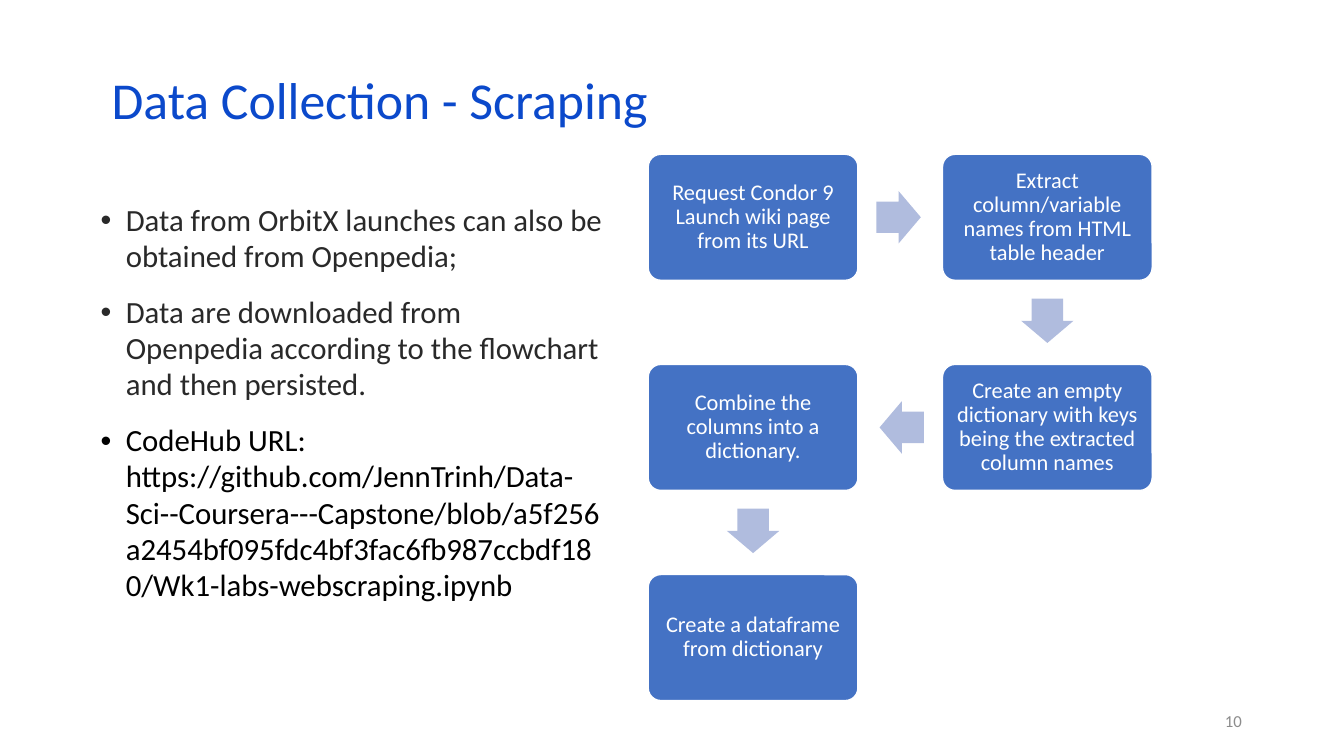
from itertools import pairwise
from math import atan2, degrees

from lxml.etree import SubElement
from pptx import Presentation
from pptx.dml.color import RGBColor
from pptx.enum.shapes import MSO_SHAPE
from pptx.enum.text import MSO_ANCHOR, PP_ALIGN
from pptx.oxml.ns import qn
from pptx.util import Pt

COLORS = {
    "title": "0B49CB",
    "body": "292929",
    "link": "000000",
    "number": "8C8C8C",
    "step": "4472C4",
    "arrow": "B0BCDE",
    "white": "FFFFFF",
}

BULLETS = [
    ("Data from OrbitX launches can also be obtained from Openpedia;", "body"),
    ("Data are downloaded from Openpedia according to the flowchart and then persisted.", "body"),
    ("CodeHub URL: https://github.com/JennTrinh/Data-Sci--Coursera---Capstone/blob/"
     "a5f256a2454bf095fdc4bf3fac6fb987ccbdf180/Wk1-labs-webscraping.ipynb", "link"),
]

STEPS = [
    (0, 0, "Request Condor 9 Launch wiki page from its URL"),
    (1, 0, "Extract column/variable names from HTML table header"),
    (1, 1, "Create an empty dictionary with keys being the extracted column names"),
    (0, 1, "Combine the columns into a dictionary."),
    (0, 2, "Create a dataframe from dictionary"),
]

STEP_WIDTH, STEP_HEIGHT = 149.8, 90
FIRST_CENTER = (537.9, 155.2)
COLUMN_GAP, ROW_GAP = 210.2, 150.1
ARROW_WIDTH, ARROW_HEIGHT = 31.7, 37.4
ARROW_SHIFT = 1.1


def write(paragraph, text, size, color, font="Calibri", align=PP_ALIGN.LEFT, spacing=1.0):
    paragraph.alignment = align
    paragraph.line_spacing = spacing
    span = paragraph.add_run()
    span.text = text
    span.font.name = font
    span.font.size = Pt(size)
    span.font.color.rgb = RGBColor.from_string(COLORS[color])


class Slide:
    def __init__(self, page):
        self.shapes = page.shapes

    def frame(self, left, top, width, height, anchor=MSO_ANCHOR.MIDDLE):
        box = self.shapes.add_textbox(Pt(left), Pt(top), Pt(width), Pt(height))
        box.text_frame.word_wrap = True
        box.text_frame.vertical_anchor = anchor
        return box.text_frame

    def label(self, place, text, **style):
        write(self.frame(*place).paragraphs[0], text, **style)

    def bullets(self, place, items):
        frame = self.frame(*place, anchor=MSO_ANCHOR.TOP)
        for index, (text, color) in enumerate(items):
            para = frame.add_paragraph() if index else frame.paragraphs[0]
            properties = para._p.get_or_add_pPr()
            properties.set("marL", str(Pt(18)))
            properties.set("indent", str(-Pt(18)))
            SubElement(properties, qn("a:buFont"), typeface="Arial")
            SubElement(properties, qn("a:buChar"), char="•")
            if index:
                para.space_before = Pt(14)
            write(para, text, size=22, color=color, spacing=0.98)

    def block(self, kind, center, width, height, fill):
        x, y = center
        shape = self.shapes.add_shape(
            kind, Pt(x - width / 2), Pt(y - height / 2), Pt(width), Pt(height))
        shape.shadow.inherit = False
        shape.fill.solid()
        shape.fill.fore_color.rgb = RGBColor.from_string(COLORS[fill])
        shape.line.fill.background()
        return shape

    def step(self, center, text):
        shape = self.block(MSO_SHAPE.ROUNDED_RECTANGLE, center, STEP_WIDTH, STEP_HEIGHT, "step")
        shape.adjustments[0] = 0.1
        shape.line.color.rgb = RGBColor.from_string(COLORS["white"])
        shape.line.width = Pt(1)
        frame = shape.text_frame
        frame.word_wrap = True
        frame.vertical_anchor = MSO_ANCHOR.MIDDLE
        frame.margin_left = frame.margin_right = Pt(5)
        frame.margin_top = frame.margin_bottom = Pt(5)
        write(frame.paragraphs[0], text, size=16, color="white",
              align=PP_ALIGN.CENTER, spacing=0.9)

    def arrow(self, start, end):
        across, down = end[0] - start[0], end[1] - start[1]
        pull = ARROW_SHIFT / (abs(across) + abs(down))
        center = (start[0] + across * (0.5 - pull), start[1] + down * (0.5 - pull))
        shape = self.block(MSO_SHAPE.RIGHT_ARROW, center, ARROW_WIDTH, ARROW_HEIGHT, "arrow")
        shape.adjustments[0] = 0.6
        shape.adjustments[1] = 0.5
        shape.rotation = degrees(atan2(down, across))


def main():
    deck = Presentation()
    deck.slide_width, deck.slide_height = Pt(960), Pt(540)
    slide = Slide(deck.slides.add_slide(deck.slide_layouts[6]))

    slide.label((678.2, 500.4, 216, 28.8), "10", size=12, color="number", align=PP_ALIGN.RIGHT)
    slide.bullets((64.8, 141.1, 373, 356.4), BULLETS)
    slide.label((72.7, 54.7, 828, 43.2), "Data Collection - Scraping",
                size=37, color="title", spacing=0.7)

    centers = [(FIRST_CENTER[0] + column * COLUMN_GAP, FIRST_CENTER[1] + row * ROW_GAP)
               for column, row, _ in STEPS]
    for center, (_, _, text) in zip(centers, STEPS):
        slide.step(center, text)
    for start, end in pairwise(centers):
        slide.arrow(start, end)

    deck.save("out.pptx")


if __name__ == "__main__":
    main()
